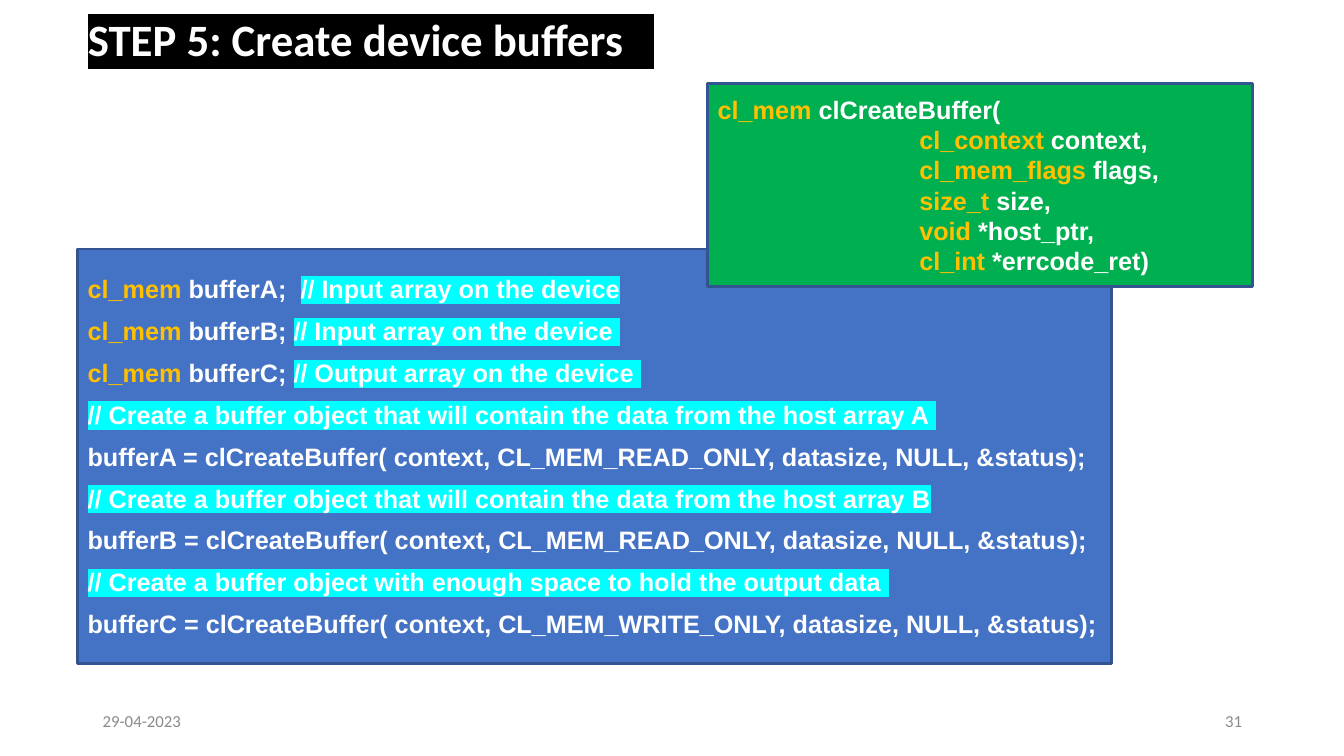
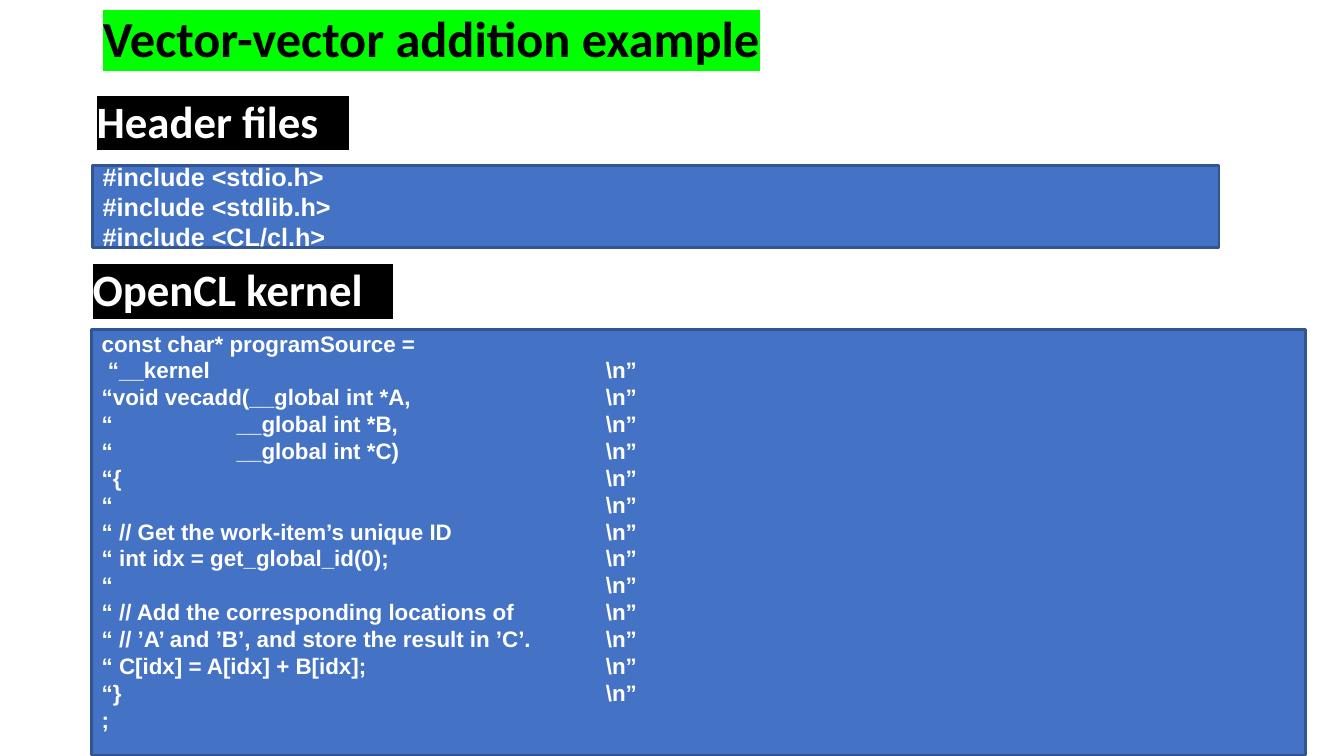
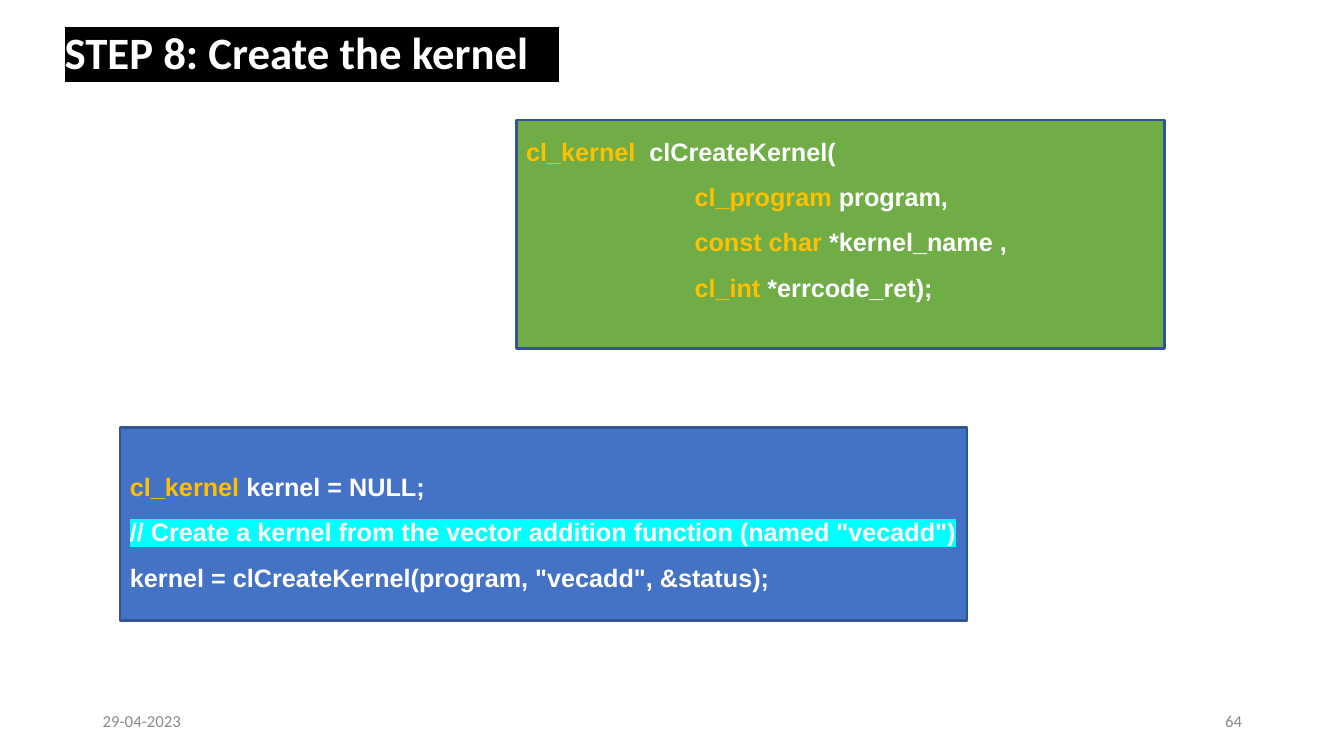
from lxml import etree
from pptx import Presentation, util as u
from pptx.dml.color import RGBColor
from pptx.enum import shapes, text
from pptx.oxml import ns

COLORS = {
    "white": "FFFFFF", "black": "000000", "grey": "8B8B8B", "gold": "FFC000",
    "cyan": "00FFFF", "lime": "00FF00", "blue": "4472C4", "edge": "325491",
    "green": "00B050", "olive": "70AD47",
}
CODE = {"name": "Arial", "size": 18, "bold": True, "color": "white"}
STYLES = {
    "title": {"name": "Calibri", "size": 36, "bold": True, "color": "black", "mark": "lime"},
    "heading": {"name": "Calibri", "size": 32, "bold": True, "color": "white", "mark": "black"},
    "footer": {"name": "Calibri", "size": 12, "bold": False, "color": "grey"},
    "type": {**CODE, "color": "gold"},
    "plain": CODE,
    "comment": {**CODE, "mark": "cyan"},
    "listing": {**CODE, "size": 16},
}
PARTS = ("type", "plain", "comment")
LINE = 1.2  # line height of code, as a multiple of the text size
TITLE_SIZE = (86.27, 10.93)
TAIL = " " * 3  # the black heading band runs on past the words
DATE = "29-04-2023"


class Deck:
    """Style and current slide; positions are percent of the slide's size."""

    def __init__(self):
        self.prs = Presentation()
        self.prs.slide_width = u.Inches(13.33)
        self.prs.slide_height = u.Inches(7.5)
        self.slide = None

    def place(self, left, top, width, height):
        w, h = self.prs.slide_width, self.prs.slide_height
        return [int(v * full / 100) for v, full in
                ((left, w), (top, h), (width, w), (height, h))]

    def frame(self, sp, **values):
        tf = sp.text_frame
        defaults = {"word_wrap": True, "auto_size": text.MSO_AUTO_SIZE.NONE,
                    "vertical_anchor": text.MSO_ANCHOR.MIDDLE,
                    "margin_left": u.Inches(0.1), "margin_right": u.Inches(0.05),
                    "margin_top": u.Inches(0.05), "margin_bottom": u.Inches(0.05)}
        for key, value in {**defaults, **values}.items():
            setattr(tf, key, value)
        return tf

    def run(self, p, words, style):
        look = STYLES[style]
        r = p.add_run()
        r.text = words
        for key, value in (("name", look["name"]), ("size", u.Pt(look["size"])),
                           ("bold", look["bold"])):
            setattr(r.font, key, value)
        r.font.color.rgb = RGBColor.from_string(COLORS[look["color"]])
        if "mark" in look:
            mark = etree.Element(ns.qn("a:highlight"))
            etree.SubElement(mark, ns.qn("a:srgbClr"), val=COLORS[look["mark"]])
            r.font._element.find(ns.qn("a:solidFill")).addnext(mark)

    def single(self, sp, words, style, align=text.PP_ALIGN.LEFT, spacing=1.0):
        p = self.frame(sp).paragraphs[0]
        p.alignment, p.line_spacing = align, spacing
        self.run(p, words, style)

    def new_slide(self, title, left, top, style="heading"):
        self.slide = self.prs.slides.add_slide(self.prs.slide_layouts[5])
        sp = self.slide.shapes.title
        sp.left, sp.top, sp.width, sp.height = self.place(left, top, *TITLE_SIZE)
        self.single(sp, title + (TAIL if style == "heading" else ""), style, spacing=0.9)

    def heading(self, words, left, top):
        sp = self.slide.shapes.add_textbox(*self.place(left, top, *TITLE_SIZE))
        self.single(sp, words + TAIL, "heading", spacing=0.9)

    def footer(self, number):
        for left, words, align in ((6.9, DATE, text.PP_ALIGN.LEFT),
                                   (70.67, number, text.PP_ALIGN.RIGHT)):
            sp = self.slide.shapes.add_textbox(*self.place(left, 92.67, 22.5, 5.33))
            self.single(sp, words, "footer", align)
            sp.text_frame.margin_right = u.Inches(0.1)

    def code(self, box, lines, fill="blue", styles=PARTS, stretch=1, before=0,
             indent=0, tab=0, **frame):
        """Box of code; a line is a tuple of parts, one for each style.

        indent moves every line but the first; tab is a stop in inches.
        """
        sp = self.slide.shapes.add_shape(shapes.MSO_SHAPE.RECTANGLE, *self.place(*box))
        sp.shadow.inherit = False
        sp.fill.solid()
        sp.fill.fore_color.rgb = RGBColor.from_string(COLORS[fill])
        sp.line.color.rgb = RGBColor.from_string(COLORS["edge"])
        sp.line.width = u.Pt(2)
        tf = self.frame(sp, **frame)
        height = u.Pt(STYLES[styles[0]]["size"] * LINE * stretch)
        for i, line in enumerate(lines):
            p = tf.add_paragraph() if i else tf.paragraphs[0]
            p.alignment, p.line_spacing = text.PP_ALIGN.LEFT, height
            if i:
                p.space_before = u.Pt(before)
            pPr = p._p.get_or_add_pPr()
            if i and indent:
                pPr.set("marL", str(u.Inches(indent)))
            if tab:
                stops = etree.SubElement(pPr, ns.qn("a:tabLst"))
                etree.SubElement(stops, ns.qn("a:tab"), pos=str(u.Inches(tab)), algn="l")
            for style, words in zip(styles, line):
                if words:
                    self.run(p, words, style)


def buffers_slide(deck):
    deck.new_slide("STEP 5: Create device buffers", 5.78, 0.13)
    deck.footer("31")
    create = "buffer{} = clCreateBuffer( context, CL_MEM_{}_ONLY, datasize, NULL, &status);"
    deck.code((5.78, 32.93, 76.9, 54.8), [
        ("cl_mem ", "bufferA;  ", "// Input array on the device"),
        ("cl_mem ", "bufferB; ", "// Input array on the device "),
        ("cl_mem ", "bufferC; ", "// Output array on the device "),
        ("", "", "// Create a buffer object that will contain the data from the host array A "),
        ("", create.format("A", "READ")),
        ("", "", "// Create a buffer object that will contain the data from the host array B"),
        ("", create.format("B", "READ")),
        ("", "", "// Create a buffer object with enough space to hold the output data "),
        ("", create.format("C", "WRITE")),
    ], before=8.3)
    deck.code((52.66, 11.07, 40.51, 26.8), [
        ("cl_mem ", "clCreateBuffer("),
        ("cl_context ", "context,"),
        ("cl_mem_flags", " flags,"),
        ("size_t", " size,"),
        ("void", " *host_ptr,"),
        ("cl_int", " *errcode_ret)"),
    ], fill="green", indent=2)


def example_slide(deck):
    deck.new_slide("Vector-vector addition example", 6.9, 0, "title")
    deck.heading("Header files", 6.45, 10.93)
    deck.code((6.9, 21.87, 83.8, 10.93),
              [(f"#include <{name}>",) for name in ("stdio.h", "stdlib.h", "CL/cl.h")],
              styles=("plain",))
    deck.heading("OpenCL kernel", 6.15, 33.2)
    kernel = [
        " “__kernel",
        "“void vecadd(__global int *A,",
        "“                    __global int *B,",
        "“                    __global int *C)",
        "“{",
        "“",
        "“ // Get the work-item’s unique ID",
        "“ int idx = get_global_id(0);",
        "“",
        "“ // Add the corresponding locations of",
        "“ // ’A’ and ’B’, and store the result in ’C’.",
        "“ C[idx] = A[idx] + B[idx];",
        "“}",
    ]
    lines = ["const char* programSource =", *(k + "\t\\n”" for k in kernel), ";"]
    deck.code((6.83, 43.6, 90.32, 56.27), [(line,) for line in lines],
              styles=("listing",), tab=5, margin_top=0,
              vertical_anchor=text.MSO_ANCHOR.TOP)


def kernel_slide(deck):
    deck.new_slide("STEP 8: Create the kernel", 4.05, 1.87)
    deck.footer("64")
    deck.code((8.93, 56.53, 63.02, 25.6), [
        ("cl_kernel ", "kernel = NULL;"),
        ("", "", '// Create a kernel from the vector addition function (named "vecadd")'),
        ("", 'kernel = clCreateKernel(program, "vecadd", &status);'),
    ], stretch=1.5)
    deck.code((38.41, 15.87, 48.24, 30.27), [
        ("cl_kernel  ", "clCreateKernel("),
        ("cl_program ", "program,"),
        ("const char ", "*kernel_name ,"),
        ("cl_int ", "*errcode_ret);"),
    ], fill="olive", stretch=1.5, indent=1.67, margin_bottom=u.Inches(0.5))


def main():
    deck = Deck()
    for build in (buffers_slide, example_slide, kernel_slide):
        build(deck)
    deck.prs.save("out.pptx")


if __name__ == "__main__":
    main()
